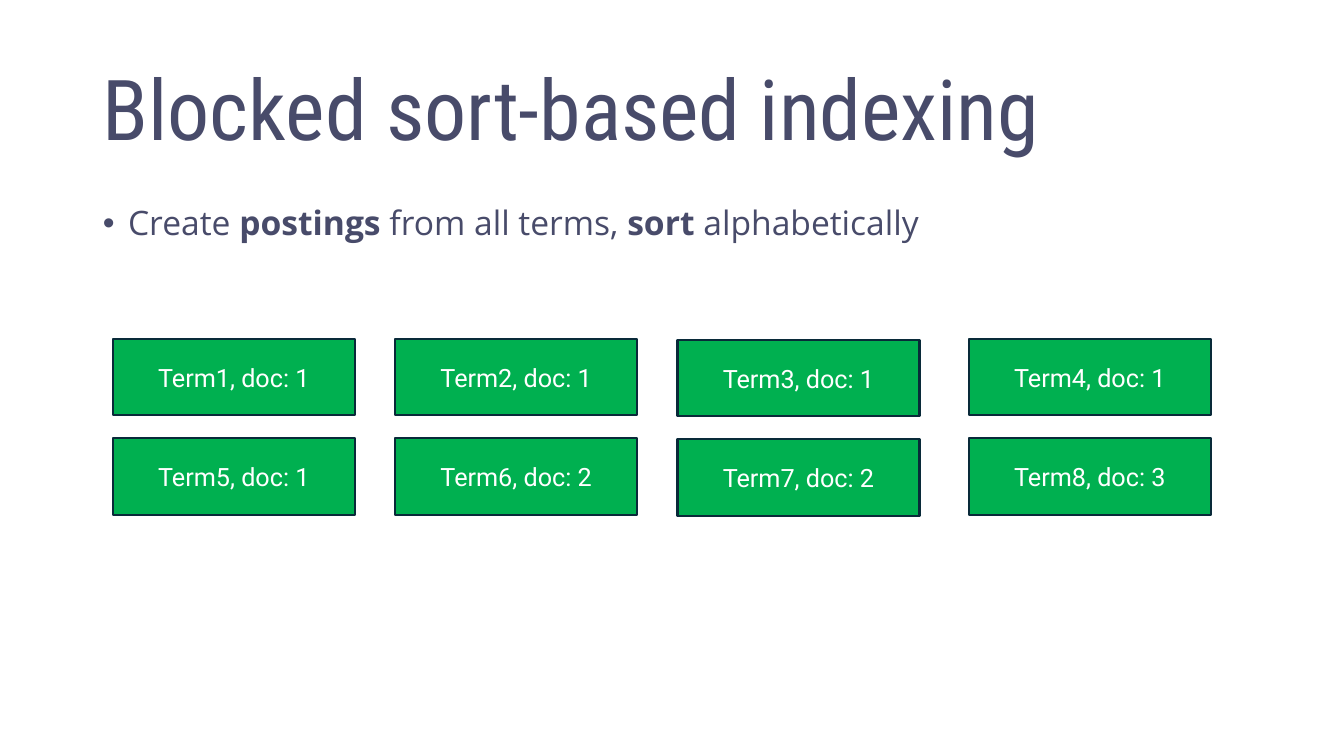
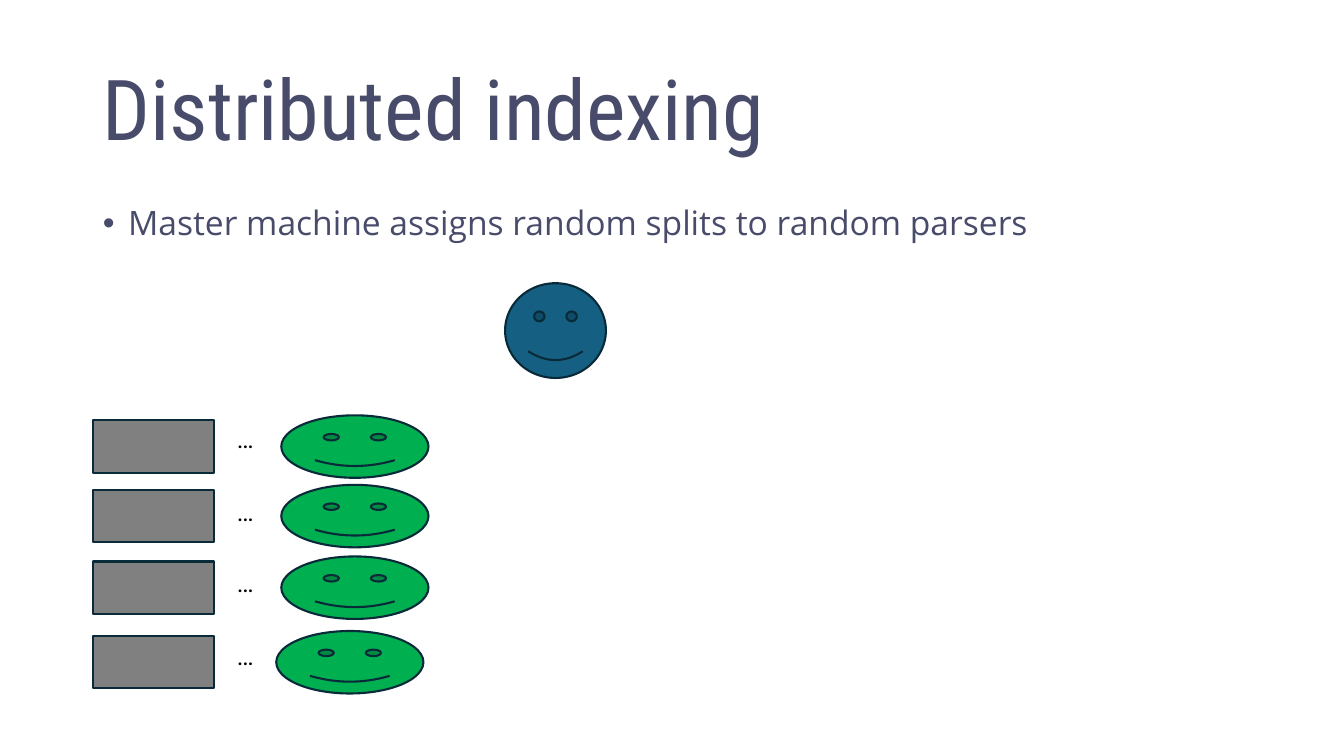
"""Build two slides on blocked sort-based and distributed indexing."""
from pptx import Presentation
from pptx.dml.color import RGBColor
from pptx.enum.shapes import MSO_SHAPE
from pptx.enum.text import MSO_ANCHOR, MSO_AUTO_SIZE, PP_ALIGN
from pptx.util import Pt

PX = 9144
INK = RGBColor(0x48, 0x4B, 0x6A)
OUTLINE = RGBColor(0x09, 0x2A, 0x39)
GREEN = RGBColor(0x00, 0xB0, 0x50)
BLUE = RGBColor(0x15, 0x60, 0x82)
GREY = RGBColor(0x80, 0x80, 0x80)
WHITE = RGBColor(0xFF, 0xFF, 0xFF)
BLACK = RGBColor(0x00, 0x00, 0x00)

TITLE_BOX = (92, 40, 1150, 145)
BODY_BOX = (92, 200, 1150, 530)

POSTING_COLUMNS = [
    (112, 336, ["Term1, doc: 1", "Term5, doc: 1"]),
    (392, 336, ["Term2, doc: 1", "Term6, doc: 2"]),
    (672, 337, ["Term3, doc: 1", "Term7, doc: 2"]),
    (961, 336, ["Term4, doc: 1", "Term8, doc: 3"]),
]
POSTING_PITCH = 99

SPLIT_ROWS = [(417, 415, 279), (486, 487, 279), (557, 558, 279), (631, 630, 274)]


def px(*lengths):
    return [length * PX for length in lengths]


def style_font(font, name, size, color):
    font.name = name
    font.size = Pt(size)
    font.color.rgb = color


def place(placeholder, box):
    placeholder.left, placeholder.top, placeholder.width, placeholder.height = px(*box)
    placeholder.text_frame.auto_size = MSO_AUTO_SIZE.NONE


def add_heading(slide, heading):
    title = slide.shapes.title
    place(title, TITLE_BOX)
    title.text_frame.text = heading
    title.text_frame.vertical_anchor = MSO_ANCHOR.MIDDLE
    line = title.text_frame.paragraphs[0]
    line.alignment = PP_ALIGN.LEFT
    line.line_spacing = 0.9
    style_font(line.runs[0].font, "Roboto Condensed", 60, INK)


def add_bullet(slide, phrases):
    body = slide.placeholders[1]
    place(body, BODY_BOX)
    bullet = body.text_frame.paragraphs[0]
    bullet.line_spacing = 0.9
    bullet.space_before = Pt(10)
    properties = bullet._p.get_or_add_pPr()
    properties.set("marL", str(25 * PX))
    properties.set("indent", str(-25 * PX))
    for phrase, bold in phrases:
        run = bullet.add_run()
        run.text = phrase
        run.font.bold = bold
        style_font(run.font, "Open Sans", 24, INK)


def add_slide(deck, heading, phrases):
    slide = deck.slides.add_slide(deck.slide_layouts[1])
    add_heading(slide, heading)
    add_bullet(slide, phrases)
    return slide


def add_figure(slide, preset, box, color):
    figure = slide.shapes.add_shape(preset, *px(*box))
    figure.shadow.inherit = False
    figure.fill.solid()
    figure.fill.fore_color.rgb = color
    figure.line.color.rgb = OUTLINE
    figure.line.width = Pt(1.5)
    return figure


def add_posting(slide, left, top, label):
    posting = add_figure(slide, MSO_SHAPE.RECTANGLE, (left, top, 240, 76), GREEN)
    posting.text_frame.text = label
    posting.text_frame.vertical_anchor = MSO_ANCHOR.MIDDLE
    line = posting.text_frame.paragraphs[0]
    line.alignment = PP_ALIGN.CENTER
    style_font(line.runs[0].font, "Roboto", 18, WHITE)


def add_dots(slide, left, top):
    dots = slide.shapes.add_textbox(*px(left, top, 122, 40)).text_frame
    dots.word_wrap = True
    dots.text = "…"
    style_font(dots.paragraphs[0].runs[0].font, "Roboto", 18, BLACK)


def build_blocked_indexing(deck):
    slide = add_slide(deck, "Blocked sort-based indexing", [
        ("Create ", False), ("postings", True), (" from all terms, ", False),
        ("sort ", True), ("alphabetically", False),
    ])
    for left, top, labels in POSTING_COLUMNS:
        for row, label in enumerate(labels):
            add_posting(slide, left, top + row * POSTING_PITCH, label)


def build_distributed_indexing(deck):
    slide = add_slide(deck, "Distributed indexing", [
        ("Master machine assigns random splits to random parsers", False),
    ])
    add_figure(slide, MSO_SHAPE.SMILEY_FACE, (501, 281, 100, 94), BLUE)
    for split_top, dots_top, parser_left in SPLIT_ROWS:
        add_figure(slide, MSO_SHAPE.RECTANGLE, (92, split_top, 120, 52), GREY)
        add_figure(slide, MSO_SHAPE.SMILEY_FACE, (parser_left, split_top - 5, 146, 62), GREEN)
        add_dots(slide, 225, dots_top)


def main():
    deck = Presentation()
    deck.slide_width, deck.slide_height = px(1333, 750)
    build_blocked_indexing(deck)
    build_distributed_indexing(deck)
    deck.save("out.pptx")


if __name__ == "__main__":
    main()
